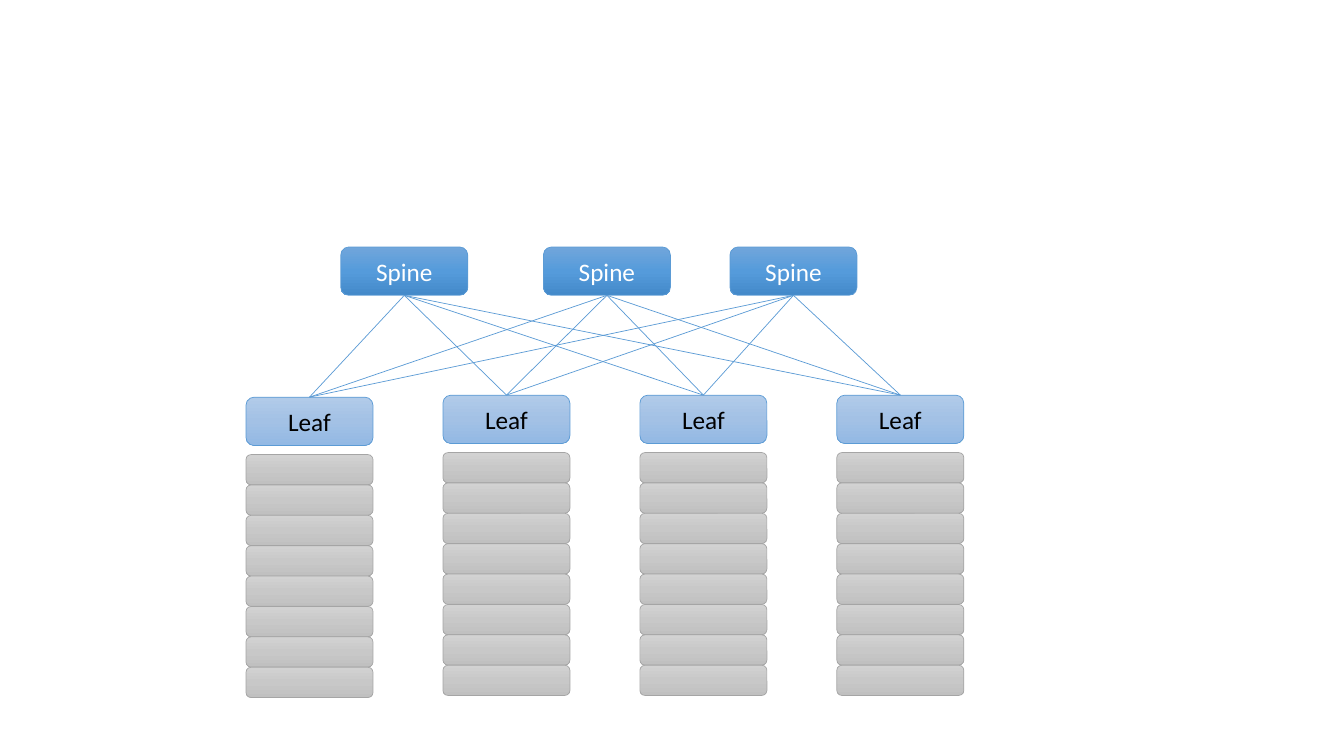
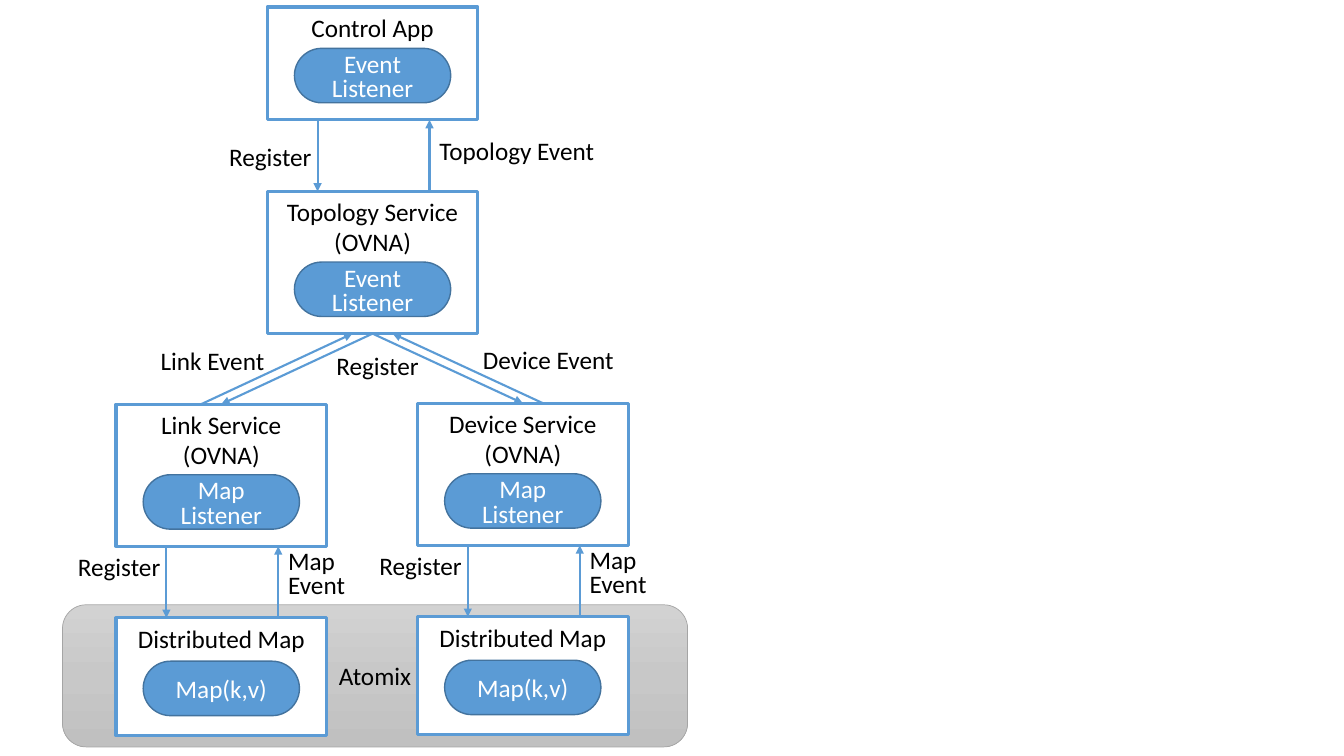
from copy import deepcopy

from pptx import Presentation
from pptx.dml.color import RGBColor
from pptx.enum.shapes import MSO_CONNECTOR as CONN, MSO_SHAPE as SHAPE
from pptx.enum.text import MSO_ANCHOR as ANCHOR, PP_ALIGN as ALIGN
from pptx.oxml.ns import qn
from pptx.util import Inches, Pt
from lxml.etree import SubElement

WHITE = RGBColor(0xFF, 0xFF, 0xFF)
BLACK = RGBColor(0, 0, 0)
BLUE = RGBColor(0x5B, 0x9B, 0xD5)
DARK_BLUE = RGBColor(0x43, 0x73, 0x9E)
GRAY = RGBColor(0xA5, 0xA5, 0xA5)
GRAY_FADE = [RGBColor.from_string(c) for c in ("D2D2D2", "C8C8C8", "C0C0C0")]
LEAF_FADE = [RGBColor.from_string(c) for c in ("B1CBE9", "A3C1E5", "93B9E4")]
SPINE_FADE = [RGBColor.from_string(c) for c in ("71A6DB", "559BDB", "448ACA")]

FONT = {"name": "Calibri", "size": Pt(18)}
ROUND = SHAPE.ROUNDED_RECTANGLE
SERVER = dict(kind=ROUND, fill=GRAY_FADE, line=GRAY, width=0.5)
LEAF = dict(kind=ROUND, fill=LEAF_FADE, line=BLUE, width=0.5)
SPINE = dict(kind=ROUND, fill=SPINE_FADE, line=BLUE, width=0.5, color=WHITE)
FRAME = dict(kind=SHAPE.RECTANGLE, fill=WHITE, line=BLUE, width=2.25, anchor=ANCHOR.TOP)
PILL = dict(kind=ROUND, fill=BLUE, line=DARK_BLUE, width=1, color=WHITE, adj=0.5, spacing=0.8)

SWITCH_W, SWITCH_H = 1.26, 0.48
FRAME_W, SERVICE_H, MAP_H = 2.09, 1.41, 1.17
PILL_W, PILL_H = 1.55, 0.54


def write(tf, lines, color=BLACK, align=ALIGN.CENTER, spacings=()):
    """Write one paragraph per line, with a line spacing where one is given."""
    for i, line in enumerate(lines):
        p = tf.add_paragraph() if i else tf.paragraphs[0]
        p.alignment = align
        if i < len(spacings) and spacings[i]:
            p.line_spacing = spacings[i]
        r = p.add_run()
        r.text = line
        for name, value in FONT.items():
            setattr(r.font, name, value)
        r.font.color.rgb = color


def paint(sp, fill):
    """Fill a shape with one colour or a vertical three-colour fade."""
    if isinstance(fill, RGBColor):
        sp.fill.solid()
        sp.fill.fore_color.rgb = fill
        return
    sp.fill.gradient()
    sp.fill.gradient_angle = 270
    stops = sp._element.spPr.find(".//" + qn("a:gsLst"))
    stops.append(deepcopy(stops[0]))
    for stop, color, position in zip(sp.fill.gradient_stops, fill, (0, 0.5, 1)):
        stop.color.rgb = color
        stop.position = position


def add_box(shapes, box, lines, kind, fill, line, width, color=BLACK,
            anchor=ANCHOR.MIDDLE, adj=None, spacing=None):
    """Add a filled and outlined shape with centred lines of text."""
    sp = shapes.add_shape(kind, *map(Inches, box))
    sp.shadow.inherit = False
    if adj:
        sp.adjustments[0] = adj
    paint(sp, fill)
    sp.line.color.rgb = line
    sp.line.width = Pt(width)
    sp.text_frame.vertical_anchor = anchor
    write(sp.text_frame, lines, color, spacings=[None] + [spacing] * len(lines))
    return sp


def add_label(s, box, lines, align=ALIGN.LEFT, spacing=None):
    """Add an unwrapped text label."""
    tf = s.shapes.add_textbox(*map(Inches, box)).text_frame
    tf.word_wrap = False
    write(tf, lines, align=align, spacings=[spacing] * len(lines))


def add_line(s, start=(0, 0), end=(0, 0), width=1.5, arrow=True):
    """Add a straight blue line, with an arrowhead at its end if wanted."""
    cn = s.shapes.add_connector(CONN.STRAIGHT, *map(Inches, (*start, *end)))
    cn.line.color.rgb = BLUE
    cn.line.width = Pt(width)
    spPr = cn._element.spPr
    if arrow:
        SubElement(spPr.find(qn("a:ln")), qn("a:tailEnd"), type="triangle")
    SubElement(spPr, qn("a:effectLst"))
    return cn


def rack(s, x, y):
    """Stack eight servers in a group and put their leaf switch above them."""
    group = s.shapes.add_group_shape()
    for i in range(8):
        add_box(group.shapes, (x, y + 0.57 + 2.11 * i / 7, SWITCH_W, 0.3), [], **SERVER)
    return add_box(s.shapes, (x, y, SWITCH_W, SWITCH_H), ["Leaf"], **LEAF)


def fabric_slide(prs):
    """Build the spine-leaf fabric with a link between every pair."""
    s = prs.slides.add_slide(prs.slide_layouts[6])
    leaves = [rack(s, 2.44 + 5.86 * i / 3, y) for i, y in enumerate((3.94, 3.92, 3.92, 3.92))]
    spines = [add_box(s.shapes, (x, 2.45, SWITCH_W, SWITCH_H), ["Spine"], **SPINE)
              for x in (3.38, 5.39, 7.24)]
    for spine in spines:
        for leaf in leaves:
            link = add_line(s, width=0.5, arrow=False)
            link.begin_connect(spine, 2)
            link.end_connect(leaf, 0)


def module(s, x, y, h, title, pill, pill_top):
    """Draw a titled frame with a pill inside."""
    add_box(s.shapes, (x, y, FRAME_W, h), title, **FRAME)
    add_box(s.shapes, (x + 0.27, y + pill_top, PILL_W, PILL_H), pill, **PILL)


def exchange(s, x, y, event, event_size, label_top=0):
    """Draw the register and event arrows below a frame whose bottom left is x, y."""
    add_line(s, (x + 0.5, y), (x + 0.5, y + 0.71))
    add_line(s, (x + 1.61, y + 0.71), (x + 1.61, y))
    add_label(s, (x - 0.49, y + label_top, 1.03, 0.4), ["Register"], ALIGN.RIGHT)
    add_label(s, (x + 1.61, y + label_top, *event_size), event, spacing=0.8)


def service_column(s, x, y, name):
    """Draw a service, its distributed map and the exchange between them."""
    module(s, x, y, SERVICE_H, [name, "(OVNA)"], ["Map", "Listener"], 0.7)
    module(s, x, y + 2.12, MAP_H, ["Distributed Map"], ["Map(k,v)"], 0.43)
    exchange(s, x, y + SERVICE_H, ["Map", "Event"], (0.77, 0.59))


def event_slide(prs):
    """Build the chain of listeners from the control app to the maps."""
    s = prs.slides.add_slide(prs.slide_layouts[6])
    add_box(s.shapes, (0.62, 6, 6.2, 1.41), ["Atomix"], **SERVER)
    x, y = 2.65, 1.9
    module(s, x, 0.07, 1.12, ["Control App"], ["Event", "Listener"], 0.41)
    module(s, x, y, SERVICE_H, ["Topology Service", "(OVNA)"], ["Event", "Listener"], 0.7)
    exchange(s, x, 1.19, ["Topology Event"], (1.75, 0.34), 0.16)
    hub, bottom = x + FRAME_W / 2, y + SERVICE_H
    for left, top, name, side in ((1.15, 4.01, "Link Service", -1),
                                  (4.14, 4, "Device Service", 1)):
        service_column(s, left, top, name)
        center, shift = left + FRAME_W / 2, 0.2 * side
        add_line(s, (hub, bottom), (center, top))
        add_line(s, (center + shift, top), (hub + shift, bottom))
    add_label(s, (3.23, 3.43, 1.03, 0.4), ["Register"], ALIGN.CENTER)
    add_label(s, (4.69, 3.42, 1.52, 0.34), ["Device Event"], spacing=0.8)
    add_label(s, (1.48, 3.43, 1.24, 0.34), ["Link Event"], ALIGN.RIGHT, 0.8)


prs = Presentation()
prs.slide_width, prs.slide_height = Inches(13.33), Inches(7.5)
fabric_slide(prs)
event_slide(prs)
prs.save("out.pptx")
